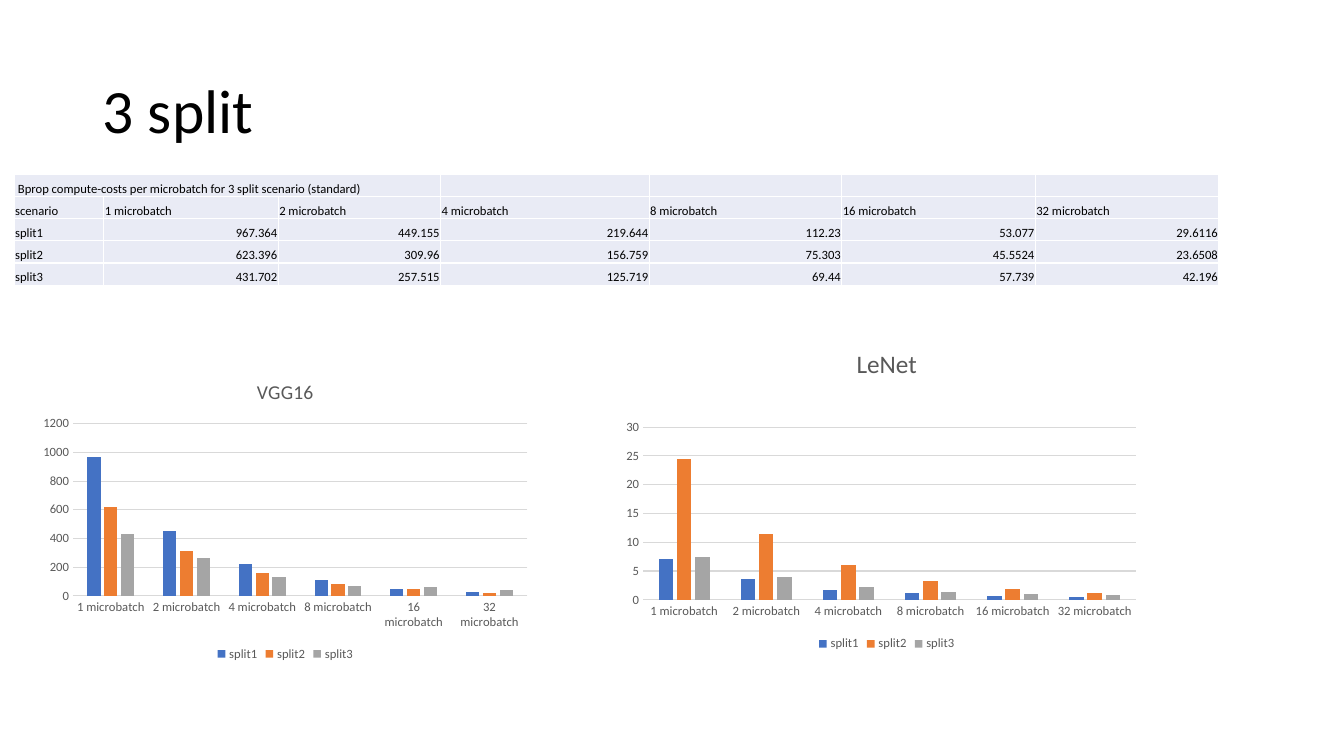
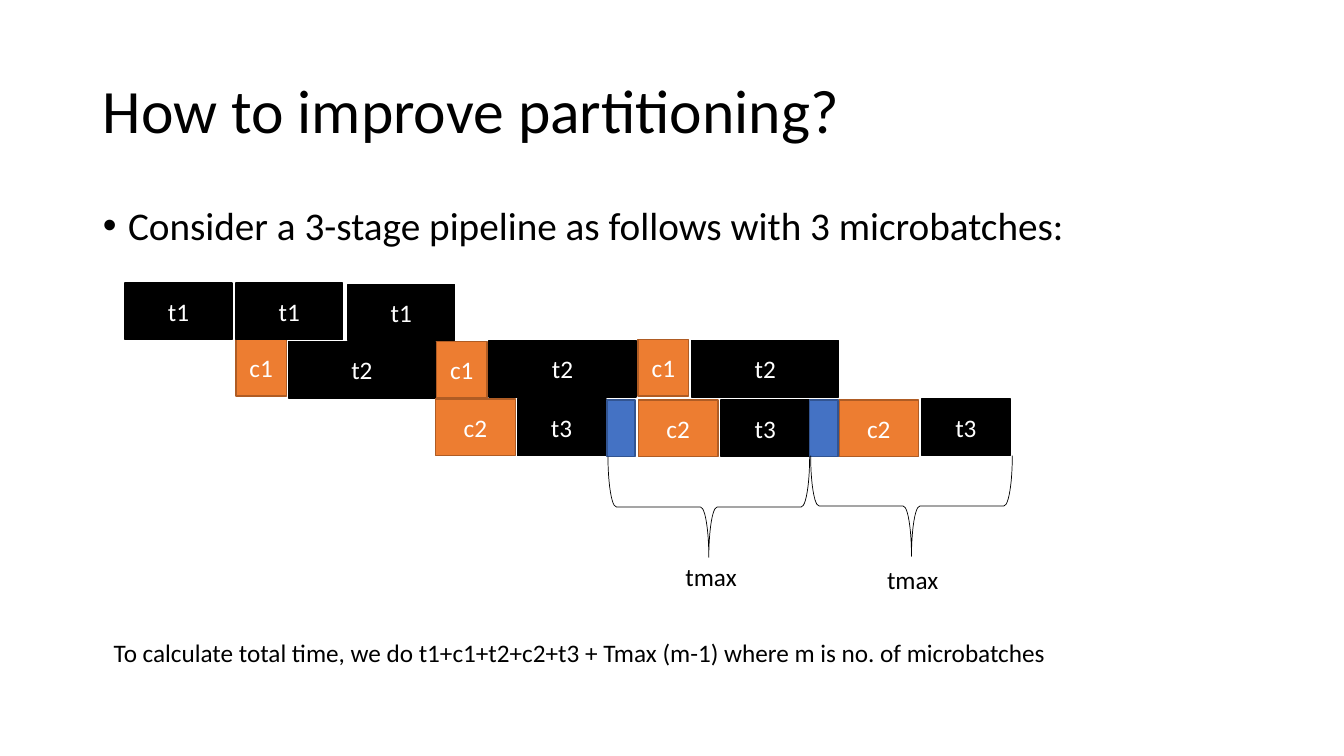
from dataclasses import dataclass

from lxml import etree
from pptx import Presentation
from pptx.chart.data import CategoryChartData
from pptx.dml.color import RGBColor
from pptx.enum.chart import XL_CHART_TYPE, XL_LEGEND_POSITION, XL_TICK_MARK
from pptx.enum.shapes import MSO_SHAPE
from pptx.enum.text import MSO_ANCHOR, MSO_AUTO_SIZE, PP_ALIGN
from pptx.oxml.ns import qn
from pptx.util import Pt

CLUSTERED = XL_CHART_TYPE.COLUMN_CLUSTERED
LEGEND_BOTTOM = XL_LEGEND_POSITION.BOTTOM
NO_TICK = XL_TICK_MARK.NONE
RECTANGLE, BRACE = MSO_SHAPE.RECTANGLE, MSO_SHAPE.RIGHT_BRACE
TOP, MIDDLE, BOTTOM = MSO_ANCHOR.TOP, MSO_ANCHOR.MIDDLE, MSO_ANCHOR.BOTTOM
FIXED, GROW = MSO_AUTO_SIZE.NONE, MSO_AUTO_SIZE.SHAPE_TO_FIT_TEXT
LEFT, CENTER, RIGHT = PP_ALIGN.LEFT, PP_ALIGN.CENTER, PP_ALIGN.RIGHT
TITLE_ONLY, TITLE_AND_BODY = 5, 1
EMU_PER_PX = 9144


@dataclass(frozen=True)
class Theme:
    font: str = "Calibri"
    black: str = "000000"
    white: str = "FFFFFF"
    grey: str = "595959"
    rule: str = "D9D9D9"
    cell: str = "E9EBF5"
    blue: str = "4472C4"
    blue_edge: str = "325491"
    orange: str = "ED7D31"
    orange_edge: str = "AF5C24"
    silver: str = "A5A5A5"
    title: int = 44
    body: int = 28
    label: int = 18
    small: int = 9


THEME = Theme()
SERIES_COLORS = (THEME.blue, THEME.orange, THEME.silver)
SPLITS = ("split1", "split2", "split3")
BATCHES = [f"{count} microbatch" for count in (1, 2, 4, 8, 16, 32)]

TITLE_BOX = (92, 40, 1150, 145)
BODY_BOX = (92, 200, 1150, 476)
COLUMN_WIDTHS = (89, 173, 161, 207, 191, 192, 182)
ROW_HEIGHT = 22
CAPTION_SPAN = 3
COST_CAPTION = "Bprop compute-costs per microbatch for 3 split scenario (standard)"
COSTS = (
    ("967.364", "449.155", "219.644", "112.23", "53.077", "29.6116"),
    ("623.396", "309.96", "156.759", "75.303", "45.5524", "23.6508"),
    ("431.702", "257.515", "125.719", "69.44", "57.739", "42.196"),
)
VGG_VALUES = (
    (970, 450, 220, 110, 50, 30),
    (620, 310, 160, 80, 50, 20),
    (430, 260, 130, 70, 60, 40),
)
LENET_VALUES = (
    (7, 3.6, 1.7, 1.1, 0.6, 0.5),
    (24.5, 11.5, 6, 3.2, 1.9, 1.2),
    (7.5, 3.9, 2.3, 1.4, 1, 0.8),
)
LENET_PLOT = {"x": 0.05, "y": 0.3, "w": 0.91, "h": 0.53}

BLOCK_HEIGHT = 56
BLOCK_STYLES = {
    "t1": (106, THEME.black, THEME.black),
    "t2": (146, THEME.black, THEME.black),
    "t3": (88, THEME.black, THEME.black),
    "c1": (50, THEME.orange, THEME.orange_edge),
    "c2": (79, THEME.orange, THEME.orange_edge),
    "": (28, THEME.blue, THEME.blue_edge),
}
BLOCKS = (
    ("t3", 389, 115), ("t2", 162, 58), ("c2", 308, 115), ("t1", 0, 0),
    ("c1", 110, 56), ("t1", 110, 0), ("c1", 509, 56), ("t2", 361, 57),
    ("c2", 509, 116), ("t1", 221, 1), ("c1", 309, 58), ("t2", 562, 57),
    ("c2", 708, 116), ("t3", 790, 115), ("t3", 591, 116),
    ("", 478, 116), ("", 679, 116),
)
BRACES = ((529, 122), (730, 121))
BRACE_LABELS = ((546, 271, 162), (746, 274, 140))


def px(value):
    return round(value * EMU_PER_PX)


def rgb(value):
    return RGBColor.from_string(value)


def place(shape, box):
    shape.left, shape.top, shape.width, shape.height = map(px, box)


def style_font(font, size, color):
    font.name, font.size, font.bold = THEME.font, Pt(size), False
    font.color.rgb = rgb(color)


def write(para, text, size, color=THEME.black, align=LEFT):
    para.alignment = align
    span = para.add_run()
    span.text = text
    style_font(span.font, size, color)


def fill_placeholder(holder, box, text, size, anchor):
    place(holder, box)
    frame = holder.text_frame
    frame.auto_size, frame.vertical_anchor = FIXED, anchor
    para = frame.paragraphs[0]
    para.line_spacing = 0.9
    para.space_before = Pt(0)
    write(para, text, size)
    return para


def add_page(deck, layout, title):
    page = deck.slides.add_slide(deck.slide_layouts[layout])
    fill_placeholder(page.shapes.title, TITLE_BOX, title, THEME.title, MIDDLE)
    return page


def add_bullet(page, box, text):
    para = fill_placeholder(page.placeholders[1], box, text, THEME.body, TOP)
    properties = para._p.get_or_add_pPr()
    properties.set("marL", str(px(25)))
    properties.set("indent", str(px(-25)))
    etree.SubElement(properties, qn("a:buChar"), char="•")


def add_label(page, box, text):
    label = page.shapes.add_textbox(*map(px, box))
    frame = label.text_frame
    frame.word_wrap, frame.auto_size = True, GROW
    write(frame.paragraphs[0], text, THEME.label)


def style_cell(cell, text, align):
    cell.margin_left = cell.margin_right = cell.margin_top = px(1)
    cell.margin_bottom = 0
    cell.vertical_anchor = BOTTOM
    properties = cell._tc.get_or_add_tcPr()
    for side in ("lnL", "lnR", "lnT", "lnB"):
        line = etree.SubElement(properties, qn(f"a:{side}"), w=str(Pt(1)))
        solid = etree.SubElement(line, qn("a:solidFill"))
        etree.SubElement(solid, qn("a:srgbClr"), val=THEME.white)
    cell.fill.solid()
    cell.fill.fore_color.rgb = rgb(THEME.cell)
    para = cell.text_frame.paragraphs[0]
    if text:
        write(para, text, THEME.small, align=align)
    else:
        etree.SubElement(para._p, qn("a:endParaRPr"), sz=str(THEME.small * 100))


def add_cost_table(page, left, top):
    caption = [f" {COST_CAPTION}"] + [""] * len(BATCHES)
    rows = [caption, ["scenario", *BATCHES]]
    rows += [[split, *costs] for split, costs in zip(SPLITS, COSTS)]
    box = (left, top, sum(COLUMN_WIDTHS), ROW_HEIGHT * len(rows))
    frame = page.shapes.add_table(len(rows), len(COLUMN_WIDTHS), *map(px, box))
    table = frame.table
    table.first_row = table.horz_banding = False
    for column, width in zip(table.columns, COLUMN_WIDTHS):
        column.width = px(width)
    for row_index, texts in enumerate(rows):
        table.rows[row_index].height = px(ROW_HEIGHT)
        for column_index, text in enumerate(texts):
            align = RIGHT if row_index > 1 and column_index else LEFT
            style_cell(table.cell(row_index, column_index), text, align)
    table.cell(0, 0).merge(table.cell(0, CAPTION_SPAN - 1))


def set_plot_layout(chart, fractions):
    area = chart._chartSpace.find(".//" + qn("c:plotArea"))
    for old in area.findall(qn("c:layout")):
        area.remove(old)
    layout = etree.Element(qn("c:layout"))
    manual = etree.SubElement(layout, qn("c:manualLayout"))
    settings = {"layoutTarget": "inner", "xMode": "edge", "yMode": "edge", **fractions}
    for tag, value in settings.items():
        etree.SubElement(manual, qn(f"c:{tag}"), val=str(value))
    area.insert(0, layout)


def add_cost_chart(page, box, title, title_size, values, top_value, step, layout=None):
    data = CategoryChartData()
    data.categories = BATCHES
    for split, numbers in zip(SPLITS, values):
        data.add_series(split, numbers)
    chart = page.shapes.add_chart(CLUSTERED, *map(px, box), data).chart
    style_font(chart.font, 10, THEME.black)
    chart.has_title = True
    write(chart.chart_title.text_frame.paragraphs[0], title, title_size, THEME.grey, CENTER)
    chart.chart_title.include_in_layout = False
    chart.has_legend = True
    chart.legend.position = LEGEND_BOTTOM
    chart.legend.include_in_layout = False
    style_font(chart.legend.font, THEME.small, THEME.grey)

    plot = chart.plots[0]
    plot.gap_width, plot.overlap, plot.vary_by_categories = 219, -27, False
    for series, color in zip(plot.series, SERIES_COLORS):
        series.format.fill.solid()
        series.format.fill.fore_color.rgb = rgb(color)

    category_axis, value_axis = chart.category_axis, chart.value_axis
    for axis in (category_axis, value_axis):
        axis.major_tick_mark = axis.minor_tick_mark = NO_TICK
        style_font(axis.tick_labels.font, THEME.small, THEME.grey)
    value_axis.minimum_scale, value_axis.maximum_scale = 0, top_value
    value_axis.major_unit = step
    value_axis.has_major_gridlines = True
    value_axis.format.line.fill.background()
    for line in (category_axis.format.line, value_axis.major_gridlines.format.line):
        line.color.rgb, line.width = rgb(THEME.rule), Pt(0.75)
    if layout:
        set_plot_layout(chart, layout)


def add_block(page, name, left, top):
    width, fill, edge = BLOCK_STYLES[name]
    block = page.shapes.add_shape(RECTANGLE, *map(px, (left, top, width, BLOCK_HEIGHT)))
    block.shadow.inherit = False
    block.fill.solid()
    block.fill.fore_color.rgb = rgb(fill)
    block.line.color.rgb, block.line.width = rgb(edge), Pt(1)
    if name:
        block.text_frame.vertical_anchor = MIDDLE
        write(block.text_frame.paragraphs[0], name, THEME.label, THEME.white, CENTER)


def add_brace(page, left, top):
    brace = page.shapes.add_shape(BRACE, *map(px, (left, top, 100, 200)))
    brace.rotation = 90
    brace.shadow.inherit = False
    brace.fill.background()
    brace.line.color.rgb, brace.line.width = rgb(THEME.black), Pt(0.5)


def add_pipeline(page, left, top):
    for name, across, down in BLOCKS:
        add_block(page, name, left + across, top + down)
    for across, down in BRACES:
        add_brace(page, left + across, top + down)
    for across, down, width in BRACE_LABELS:
        add_label(page, (left + across, top + down, width, 40), "tmax")


def build_split_page(deck):
    page = add_page(deck, TITLE_ONLY, "3 split")
    add_cost_table(page, 14, 173)
    add_cost_chart(page, (33, 360, 500, 300), "VGG16", 14, VGG_VALUES, 1200, 200)
    add_cost_chart(page, (611, 327, 537, 323), "LeNet", 18, LENET_VALUES, 30, 5, LENET_PLOT)


def build_partitioning_page(deck):
    page = add_page(deck, TITLE_AND_BODY, "How to improve partitioning?")
    add_bullet(page, BODY_BOX, "Consider a 3-stage pipeline as follows with 3 microbatches:")
    add_pipeline(page, 124, 281)
    add_label(page, (103, 627, 1150, 40),
              "To calculate total time, we do t1+c1+t2+c2+t3 + Tmax (m-1) where m is no. of microbatches")


def main():
    deck = Presentation()
    deck.slide_width, deck.slide_height = px(1333), px(750)
    build_split_page(deck)
    build_partitioning_page(deck)
    deck.save("out.pptx")


if __name__ == "__main__":
    main()
